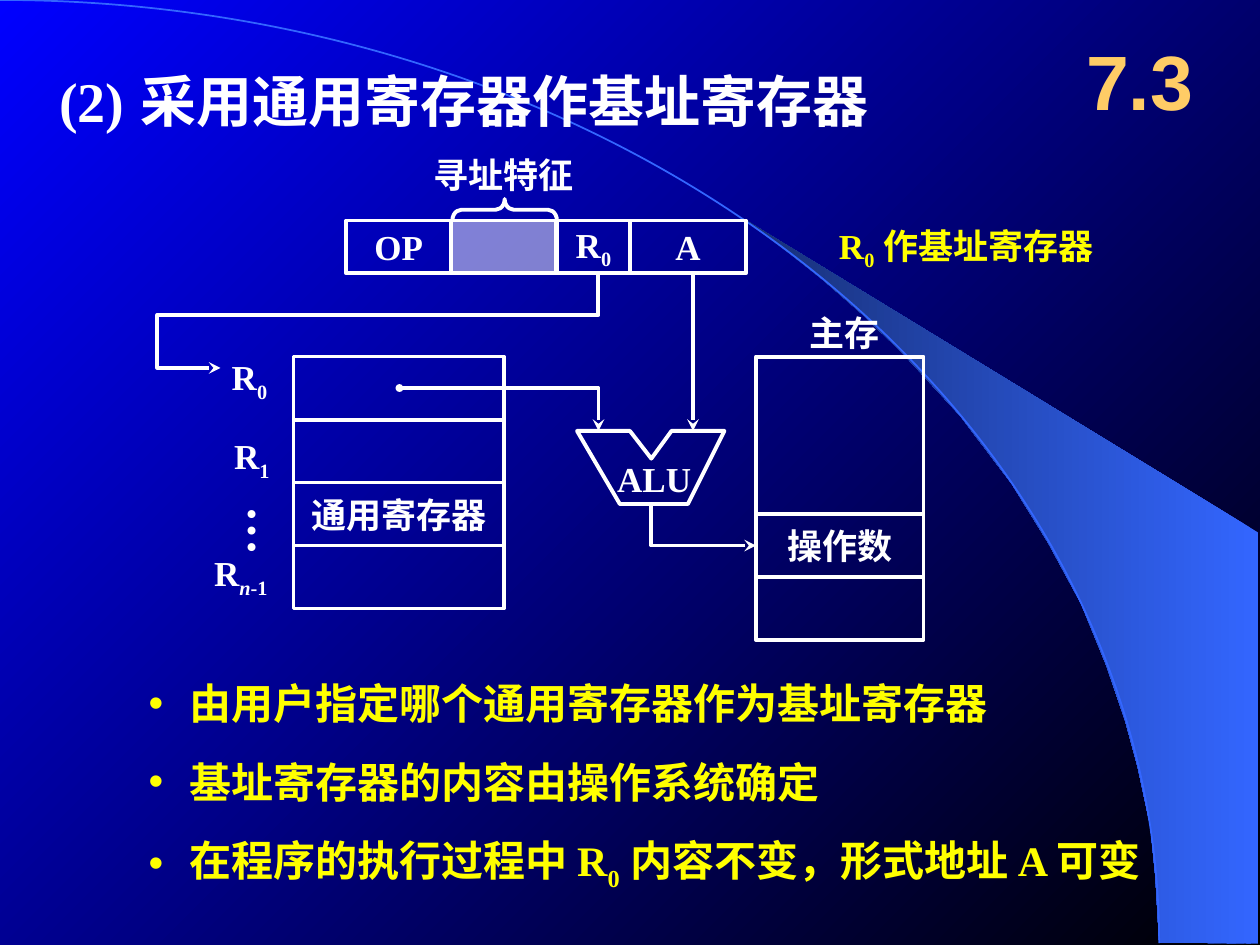
from dataclasses import dataclass
from typing import Optional

from lxml.etree import SubElement
from pptx import Presentation
from pptx.dml.color import RGBColor
from pptx.enum.shapes import MSO_CONNECTOR, MSO_SHAPE
from pptx.enum.text import MSO_ANCHOR, MSO_AUTO_SIZE, PP_ALIGN
from pptx.oxml.ns import qn
from pptx.util import Inches, Pt

WHITE = RGBColor(0xFF, 0xFF, 0xFF)
YELLOW = RGBColor(0xFF, 0xFF, 0x00)
ORANGE = RGBColor(0xFF, 0xCC, 0x66)
BLACK = RGBColor(0x00, 0x00, 0x00)
BLUE = RGBColor(0x00, 0x00, 0xFF)
ARC_BLUE = RGBColor(0x33, 0x66, 0xFF)
DARK_BLUE = RGBColor(0x17, 0x2F, 0x75)
LINE_WIDTH = 2.25


@dataclass
class Piece:
    text: str
    subscript: bool = False
    italic: bool = False
    size: Optional[float] = None


@dataclass
class Label:
    left: float
    top: float
    width: float
    height: float
    pieces: tuple[Piece, ...]
    color: RGBColor = WHITE


@dataclass
class Box:
    left: float
    top: float
    width: float
    height: float
    pieces: tuple[Piece, ...] = ()


@dataclass
class Wire:
    points: list[tuple[float, float]]
    head: Optional[str] = None


def register_name(index: str) -> tuple[Piece, ...]:
    return Piece("R"), Piece(index, subscript=True)


FIELD_TOP, FIELD_HEIGHT = 1.75, 0.42
REGISTER_LEFT, REGISTER_WIDTH = 2.33, 1.67
MEMORY_LEFT, MEMORY_WIDTH = 6, 1.33
ROW = 0.5

INSTRUCTION_FIELDS = [
    Box(2.75, FIELD_TOP, 0.83, FIELD_HEIGHT, (Piece("OP"),)),
    Box(4.42, FIELD_TOP, 0.58, FIELD_HEIGHT, register_name("0")),
    Box(5, FIELD_TOP, 0.92, FIELD_HEIGHT, (Piece("A"),)),
]
REGISTERS = [
    Box(REGISTER_LEFT, 2.83, REGISTER_WIDTH, 2 * ROW),
    Box(REGISTER_LEFT, 3.83, REGISTER_WIDTH, ROW, (Piece("通用寄存器"),)),
    Box(REGISTER_LEFT, 4.33, REGISTER_WIDTH, ROW),
]
MEMORY = [
    Box(MEMORY_LEFT, 2.83, MEMORY_WIDTH, 1.25),
    Box(MEMORY_LEFT, 4.08, MEMORY_WIDTH, ROW, (Piece("操作数"),)),
    Box(MEMORY_LEFT, 4.58, MEMORY_WIDTH, ROW),
]
LABELS = [
    Label(3.34, 1.17, 1.35, 0.44, (Piece("寻址特征"),)),
    Label(6.33, 2.42, 0.85, 0.44, (Piece("主存"),)),
    Label(4.8, 3.58, 0.85, 0.44, (Piece("ALU"),)),
    Label(1.74, 2.77, 0.55, 0.48, register_name("0")),
    Label(1.76, 3.4, 0.55, 0.48, register_name("1")),
    Label(1.6, 4.33, 0.72, 0.48,
          (Piece("R"), Piece("n", True, True), Piece("-1", True))),
    Label(6.56, 1.73, 2.35, 0.48,
          (Piece("R"), Piece("0", True), Piece(" 作基址寄存器")), YELLOW),
]
WIRES = [
    Wire([(4.75, 2.17), (4.75, 2.5), (1.25, 2.5), (1.25, 2.92), (1.75, 2.92)]),
    Wire([(3.17, 3.08), (4.75, 3.08), (4.75, 3.42)], head="oval"),
    Wire([(5.17, 4), (5.17, 4.33), (6, 4.33)]),
]
ALU_OUTLINE = [(4.58, 3.42), (5, 3.42), (5.17, 3.64), (5.33, 3.42),
               (5.75, 3.42), (5.46, 4), (4.92, 4)]
FAN_OUTLINE = [(9.2, 7.48), (9.99, 7.49), (9.99, 4.23), (5.89, 1.73),
               (6.24, 1.99), (6.53, 2.22), (6.85, 2.5), (7.16, 2.8),
               (7.62, 3.3), (8.03, 3.84), (8.32, 4.31), (8.58, 4.79),
               (8.78, 5.28), (8.93, 5.72), (9.03, 6.09), (9.13, 6.56),
               (9.17, 6.96)]
BULLETS = [
    (Piece(" 由用户指定哪个通用寄存器作为基址寄存器"),),
    (Piece(" 基址寄存器的内容由操作系统确定"),),
    (Piece(" 在程序的执行过程中 R"), Piece("0", True),
     Piece(" 内容不变，形式地址 A 可变")),
]


def add_pieces(paragraph, pieces: tuple[Piece, ...], size: float,
               color: RGBColor = WHITE, font_name: str = "Times New Roman") -> None:
    for piece in pieces:
        run = paragraph.add_run()
        run.text = piece.text
        font = run.font
        font.name, font.size, font.bold = font_name, Pt(piece.size or size), True
        font.italic = piece.italic
        font.color.rgb = color
        if piece.subscript:
            run._r.get_or_add_rPr().set("baseline", "-25000")


def set_outline(shape, color: RGBColor = WHITE, width: float = LINE_WIDTH) -> None:
    shape.line.color.rgb = color
    shape.line.width = Pt(width)


def make_hollow(shape) -> None:
    shape.shadow.inherit = False
    shape.fill.background()


def add_line_ends(shape, head: Optional[str] = None) -> None:
    line = shape.line._get_or_add_ln()
    if head:
        SubElement(line, qn("a:headEnd"), type=head, w="sm", len="sm")
    SubElement(line, qn("a:tailEnd"), type="stealth")


def set_gradient(fill, start: RGBColor, end: RGBColor, angle: float) -> None:
    fill.gradient()
    fill.gradient_angle = angle
    for stop, color in zip(fill.gradient_stops, (start, end)):
        stop.color.rgb = color


def add_box(shapes, box: Box):
    shape = shapes.add_shape(MSO_SHAPE.RECTANGLE, Inches(box.left), Inches(box.top),
                             Inches(box.width), Inches(box.height))
    make_hollow(shape)
    set_outline(shape)
    if box.pieces:
        frame = shape.text_frame
        frame.word_wrap = False
        frame.paragraphs[0].alignment = PP_ALIGN.CENTER
        add_pieces(frame.paragraphs[0], box.pieces, 20)
    return shape


def add_label(shapes, label: Label) -> None:
    frame = shapes.add_textbox(Inches(label.left), Inches(label.top),
                               Inches(label.width), Inches(label.height)).text_frame
    frame.word_wrap = True
    frame.auto_size = MSO_AUTO_SIZE.NONE
    add_pieces(frame.paragraphs[0], label.pieces, 20, label.color)


def add_outline(shapes, points: list[tuple[float, float]], close: bool):
    corners = [(Inches(x), Inches(y)) for x, y in points]
    builder = shapes.build_freeform(*corners[0])
    builder.add_line_segments(corners[1:], close=close)
    shape = builder.convert_to_shape()
    make_hollow(shape)
    return shape


def add_straight_line(shapes, start: tuple[float, float], end: tuple[float, float]):
    connector = shapes.add_connector(MSO_CONNECTOR.STRAIGHT,
                                     *(Inches(value) for value in start + end))
    set_outline(connector)
    SubElement(connector._element.spPr, qn("a:effectLst"))
    return connector


def send_to_back(shape) -> None:
    shape.element.getparent().insert(2, shape.element)


def add_backdrop(slide) -> None:
    set_gradient(slide.background.fill, BLACK, BLUE, 135)
    arc = slide.shapes.add_shape(MSO_SHAPE.ARC, Inches(-9.2), 0,
                                 Inches(18.4), Inches(14.97))
    make_hollow(arc)
    set_outline(arc, ARC_BLUE, 1)
    send_to_back(arc)
    fan = add_outline(slide.shapes, FAN_OUTLINE, close=True)
    set_gradient(fan.fill, ARC_BLUE, DARK_BLUE, 180)
    fan.line.fill.background()
    send_to_back(fan)


def place(shape, left: float, top: float, width: float, height: float):
    shape.left, shape.top = Inches(left), Inches(top)
    shape.width, shape.height = Inches(width), Inches(height)
    frame = shape.text_frame
    frame.auto_size = MSO_AUTO_SIZE.NONE
    frame.vertical_anchor = MSO_ANCHOR.TOP
    return frame


def add_headings(slide) -> None:
    title = place(slide.shapes.title, 0.37, 0.42, 6.75, 0.7)
    title.word_wrap = False
    title.paragraphs[0].alignment = PP_ALIGN.LEFT
    add_pieces(title.paragraphs[0],
               (Piece("(2)"), Piece(" ", size=36), Piece("采用通用寄存器作基址寄存器")), 32)
    section = slide.shapes.add_textbox(Inches(8.42), Inches(0.17),
                                       Inches(1.25), Inches(0.92)).text_frame
    section.word_wrap = True
    section.vertical_anchor = MSO_ANCHOR.MIDDLE
    section.paragraphs[0].alignment = PP_ALIGN.CENTER
    add_pieces(section.paragraphs[0], (Piece("7.3"),), 44, ORANGE, "Arial")


def add_bullets(slide) -> None:
    frame = place(slide.placeholders[1], 1.08, 5.33, 8.3, 2.16)
    for index, pieces in enumerate(BULLETS):
        paragraph = frame.add_paragraph() if index else frame.paragraphs[0]
        properties = paragraph._p.get_or_add_pPr()
        properties.set("marL", str(Inches(0.25)))
        properties.set("indent", str(-Inches(0.25)))
        paragraph.space_before = Pt(16 if index else 0)
        SubElement(properties, qn("a:buChar"), char="•")
        add_pieces(paragraph, pieces, 24, YELLOW)


def add_diagram(shapes) -> None:
    for box in INSTRUCTION_FIELDS + REGISTERS + MEMORY:
        add_box(shapes, box)
    mode_field = add_box(shapes, Box(3.58, FIELD_TOP, 0.83, FIELD_HEIGHT))
    mode_field.fill.solid()
    mode_field.fill.fore_color.rgb = WHITE
    color = mode_field._element.spPr.find(qn("a:solidFill"))[0]
    SubElement(color, qn("a:alpha"), val="50000")

    brace = shapes.add_shape(MSO_SHAPE.LEFT_BRACE, Inches(3.92), Inches(1.25),
                             Inches(0.17), Inches(0.83))
    brace.rotation = 90
    brace.adjustments[0] = 0.42
    make_hollow(brace)
    set_outline(brace)

    set_outline(add_outline(shapes, ALU_OUTLINE, close=True))
    add_straight_line(shapes, (REGISTER_LEFT, 3.33), (REGISTER_LEFT + REGISTER_WIDTH, 3.33))
    add_line_ends(add_straight_line(shapes, (5.5, 2.17), (5.5, 3.42)))
    for wire in WIRES:
        shape = add_outline(shapes, wire.points, close=False)
        set_outline(shape)
        add_line_ends(shape, wire.head)
    for label in LABELS:
        add_label(shapes, label)

    dots = shapes.add_textbox(Inches(1.75), Inches(3.92), Inches(0.66), Inches(0.58)).text_frame
    dots.word_wrap = True
    dots.margin_left = dots.margin_right = Inches(0.05)
    dots.margin_top = dots.margin_bottom = Inches(0.1)
    dots._txBody.bodyPr.set("vert", "eaVert")
    add_pieces(dots.paragraphs[0], (Piece("…"),), 28)


def main() -> None:
    presentation = Presentation()
    presentation.slide_width, presentation.slide_height = Inches(10), Inches(7.5)
    slide = presentation.slides.add_slide(presentation.slide_layouts[1])
    add_backdrop(slide)
    add_headings(slide)
    add_diagram(slide.shapes)
    add_bullets(slide)
    presentation.save("out.pptx")


if __name__ == "__main__":
    main()
